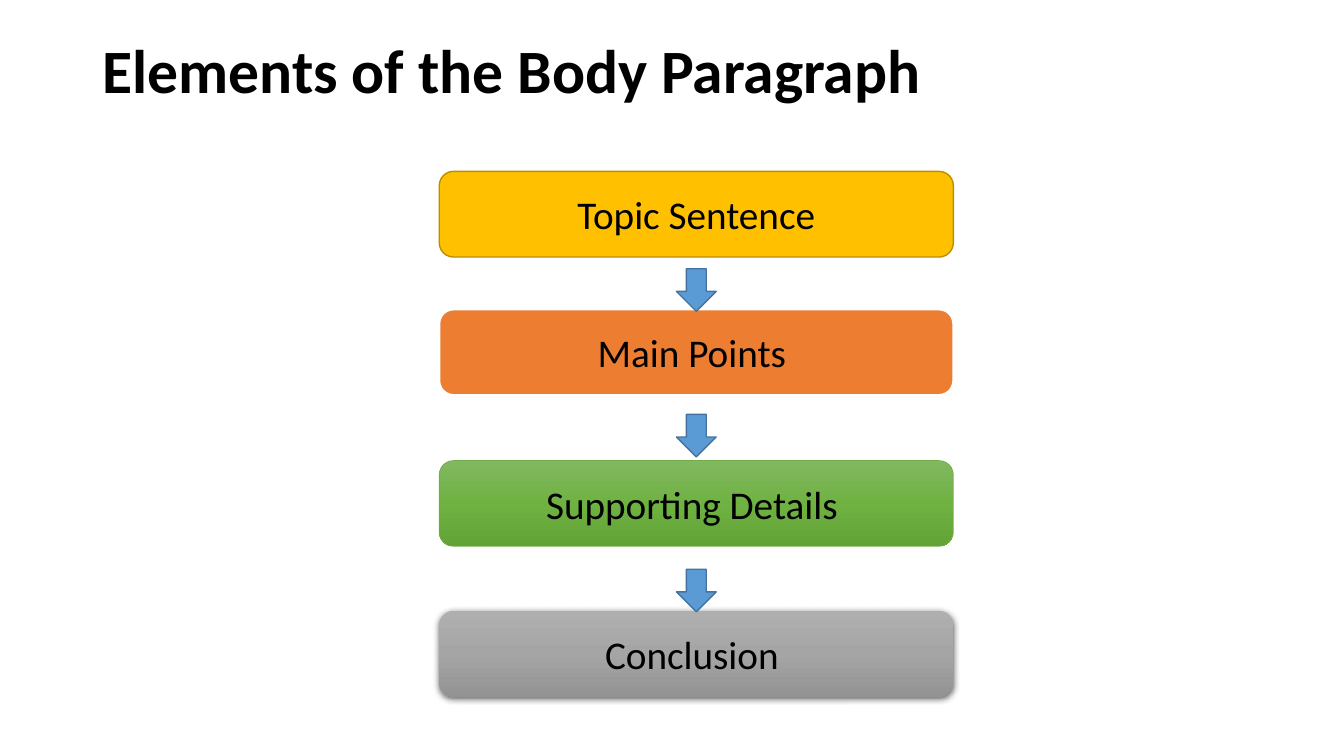
from copy import deepcopy

from lxml import etree
from pptx import Presentation
from pptx.dml.color import RGBColor
from pptx.enum.shapes import MSO_SHAPE
from pptx.enum.text import MSO_ANCHOR, MSO_AUTO_SIZE, PP_ALIGN
from pptx.oxml.ns import qn
from pptx.util import Pt

ROUND_RECT, DOWN_ARROW = MSO_SHAPE.ROUNDED_RECTANGLE, MSO_SHAPE.DOWN_ARROW
LEFT, CENTER = PP_ALIGN.LEFT, PP_ALIGN.CENTER
MIDDLE, NO_AUTOFIT = MSO_ANCHOR.MIDDLE, MSO_AUTO_SIZE.NONE
FONT = "Calibri"

BLACK = RGBColor(0x00, 0x00, 0x00)
WHITE = RGBColor(0xFF, 0xFF, 0xFF)
GOLD = RGBColor(0xFF, 0xC0, 0x00)
DARK_GOLD = RGBColor(0xBD, 0x8E, 0x00)
ORANGE = RGBColor(0xED, 0x7D, 0x31)
GREEN = RGBColor(0x70, 0xAD, 0x47)
BLUE = RGBColor(0x5B, 0x9B, 0xD5)
DARK_BLUE = RGBColor(0x43, 0x73, 0x9E)
GREENS = (RGBColor(0x81, 0xB8, 0x61), RGBColor(0x6F, 0xB2, 0x42),
          RGBColor(0x62, 0xA3, 0x36))
GRAYS = (RGBColor(0xAF, 0xAF, 0xAF), RGBColor(0xA5, 0xA5, 0xA5),
         RGBColor(0x93, 0x93, 0x93))

# Column of boxes and arrows, in points
CENTER_X = 497.4
BOX_W, BOX_H = 367.2, 61.2
ARROW_W, ARROW_H = 28.4, 30.4

# Text, top, fill (one colour or three gradient stops), line colour, line width
BOXES = [
    ("Topic Sentence", 122.4, GOLD, DARK_GOLD, 1),
    ("Main Points ", 221, ORANGE, WHITE, 1.5),
    ("Supporting Details ", 329, GREENS, GREEN, 0.5),
    ("Conclusion ", 436.3, GRAYS, None, 0),
]
ARROW_TOPS = [192, 296, 406.6]


def set_text(sp, text, size, align=CENTER, bold=False, spacing=1.0):
    tf = sp.text_frame
    tf.word_wrap = True
    tf.auto_size = NO_AUTOFIT
    tf.vertical_anchor = MIDDLE
    p = tf.paragraphs[0]
    p.alignment = align
    p.line_spacing = spacing
    r = p.add_run()
    r.text = text
    r.font.name = FONT
    r.font.size = Pt(size)
    r.font.bold = bold
    r.font.color.rgb = BLACK


def set_gradient(sp, colors):
    """Vertical gradient with evenly spaced stops, first colour on top."""
    sp.fill.gradient()
    sp.fill.gradient_angle = 270
    stops = sp._element.spPr.find(qn("a:gradFill")).find(qn("a:gsLst"))
    for _ in colors[2:]:
        stops.append(deepcopy(stops[0]))
    for i, (stop, color) in enumerate(zip(sp.fill.gradient_stops, colors)):
        stop.position = i / (len(colors) - 1)
        stop.color.rgb = color


def add_shadow(sp):
    effects = sp._element.spPr.find(qn("a:effectLst"))
    shadow = etree.SubElement(effects, qn("a:outerShdw"), blurRad=str(Pt(4.5)),
                              dist=str(Pt(1.5)), dir="5400000", rotWithShape="0")
    color = etree.SubElement(shadow, qn("a:srgbClr"), val=str(BLACK))
    etree.SubElement(color, qn("a:alpha"), val="63000")


def add_centered_shape(s, kind, top, width, height, fill, line, line_width):
    sp = s.shapes.add_shape(kind, Pt(CENTER_X - width / 2), Pt(top),
                            Pt(width), Pt(height))
    sp.shadow.inherit = False
    if isinstance(fill, RGBColor):
        sp.fill.solid()
        sp.fill.fore_color.rgb = fill
    else:
        set_gradient(sp, fill)
    if line is None:
        sp.line.fill.background()
    else:
        sp.line.color.rgb = line
        sp.line.width = Pt(line_width)
    return sp


def add_title(s, text):
    title = s.shapes.title
    title.left, title.top = Pt(66), Pt(28.8)
    title.width, title.height = Pt(828), Pt(46.8)
    set_text(title, text, 44, align=LEFT, bold=True, spacing=0.9)


def main():
    prs = Presentation()
    prs.slide_width, prs.slide_height = Pt(960), Pt(540)
    s = prs.slides.add_slide(prs.slide_layouts[5])
    add_title(s, "Elements of the Body Paragraph")

    # Paragraph parts
    for text, top, fill, line, line_width in BOXES:
        box = add_centered_shape(s, ROUND_RECT, top, BOX_W, BOX_H,
                                 fill, line, line_width)
        set_text(box, text, 28)
    add_shadow(box)  # only the conclusion is raised

    # Arrows between the parts
    for top in ARROW_TOPS:
        add_centered_shape(s, DOWN_ARROW, top, ARROW_W, ARROW_H,
                           BLUE, DARK_BLUE, 1)

    prs.save("out.pptx")


if __name__ == "__main__":
    main()
